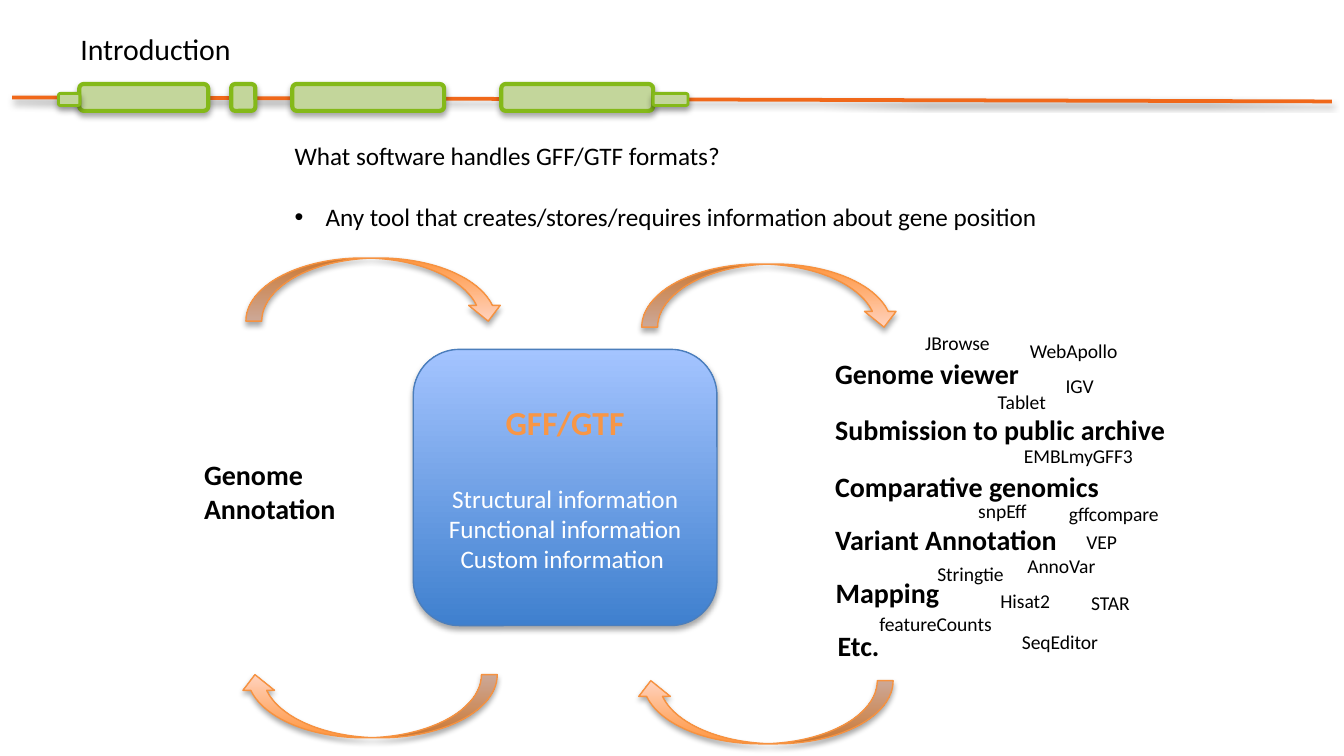
from lxml.etree import SubElement
from pptx import Presentation
from pptx.dml.color import RGBColor
from pptx.enum.shapes import MSO_CONNECTOR, MSO_SHAPE
from pptx.enum.text import MSO_ANCHOR, PP_ALIGN
from pptx.oxml.ns import qn
from pptx.util import Pt

PX = 4572
SIZE = (2000, 1125)
COLORS = {
    "text": "000000", "white": "FFFFFF", "heading": "F79646",
    "strand": "F0681A", "exon": "C3D69B", "exon_line": "84B919",
    "arrow_dark": "FF953E", "arrow_light": "FFD2BD", "arrow_line": "F69240",
    "box_dark": "3F80CE", "box_light": "A4C4FF", "box_line": "4B7EBC",
}
STRAND = (18, 145, 1982, 151)
EXONS = [(118, 192), (344, 36), (435, 226), (746, 226)]
UTRS = [(972, 52), (87, 32)]

TITLE = ("Introduction", 100, 36, 272, 72)
QUESTION = "What software handles GFF/GTF formats?"
ANSWER = "Any tool that creates/stores/requires information about gene position"
QUESTION_BOX = (419, 199, 1206, 156)

USES = [
    ("Genome Annotation", 284, 671, 246, 122),
    ("Genome viewer", 1223, 521, 362, 70),
    ("Submission to public archive", 1223, 604, 602, 70),
    ("Comparative genomics", 1223, 689, 474, 70),
    ("Variant Annotation", 1223, 768, 374, 70),
    ("Mapping", 1224, 847, 208, 70),
    ("Etc.", 1227, 926, 208, 70),
]
TOOLS = [
    ("JBrowse", 1357, 483, 144), ("WebApollo", 1513, 494, 242),
    ("IGV", 1566, 547, 112), ("Tablet", 1465, 570, 138),
    ("EMBLmyGFF3", 1504, 651, 242),
    ("snpEff", 1436, 732, 130), ("gffcompare", 1571, 737, 192),
    ("VEP", 1597, 778, 156), ("AnnoVar", 1509, 815, 156),
    ("Stringtie", 1375, 827, 156), ("Hisat2", 1469, 867, 156),
    ("STAR", 1604, 870, 156), ("featureCounts", 1289, 901, 248),
    ("SeqEditor", 1501, 927, 248),
]
TOOL_HEIGHT = 56

ARROW_SIZE = (384, 94)
ARROWS = [
    (356, 1004, "flipH"), (945, 1013, "flipH"),
    (366, 384, "flipV"), (955, 393, "flipV"),
]
FORMAT_BOX = (615, 520, 452, 411)
FORMAT_NAME = "GFF/GTF"
CONTENTS = ["Structural information", "Functional information", "Custom information "]

prs = Presentation()
prs.slide_width, prs.slide_height = (v * PX for v in SIZE)
s = prs.slides.add_slide(prs.slide_layouts[6])


def rgb(name):
    return RGBColor.from_string(COLORS[name])


def emu(*lengths):
    return [v * PX for v in lengths]


def add_shadow(sp, dist=23000, alpha=35000):
    effects = SubElement(sp._element.spPr, qn("a:effectLst"))
    shadow = SubElement(effects, qn("a:outerShdw"), blurRad="40000", dist=str(dist),
                        dir="5400000", rotWithShape="0")
    color = SubElement(shadow, qn("a:srgbClr"), val=COLORS["text"])
    SubElement(color, qn("a:alpha"), val=str(alpha))


def add_run(p, text, size, color="text", bold=False):
    r = p.add_run()
    r.text = text
    for name, value in {"name": "Calibri", "size": Pt(size), "bold": bold}.items():
        setattr(r.font, name, value)
    r.font.color.rgb = rgb(color)


def add_text(text, box, size, bold=False):
    tf = s.shapes.add_textbox(*emu(*box)).text_frame
    tf.word_wrap = True
    add_run(tf.paragraphs[0], text, size, bold=bold)
    return tf


def add_block(kind, box, fill, line, width):
    sp = s.shapes.add_shape(kind, *emu(*box))
    if isinstance(fill, tuple):
        sp.fill.gradient()
        sp.fill.gradient_angle = 90
        for stop, color, position in zip(sp.fill.gradient_stops, fill, (0, 1)):
            stop.color.rgb = rgb(color)
            stop.position = position
    else:
        sp.fill.solid()
        sp.fill.fore_color.rgb = rgb(fill)
    sp.line.color.rgb = rgb(line)
    sp.line.width = Pt(width)
    add_shadow(sp)
    return sp


strand = s.shapes.add_connector(MSO_CONNECTOR.STRAIGHT, *emu(*STRAND))
strand.line.color.rgb = rgb("strand")
strand.line.width = Pt(2)
add_shadow(strand, 20000, 38000)

for parts, top, height, width in ((EXONS, 125, 40, 2.25), (UTRS, 139, 18, 1.5)):
    for left, length in parts:
        add_block(MSO_SHAPE.ROUNDED_RECTANGLE, (left, top, length, height),
                  "exon", "exon_line", width)

add_text(TITLE[0], TITLE[1:], 16)
tf = add_text(QUESTION, QUESTION_BOX, 13.5)
p = tf.add_paragraph()
p.space_before = Pt(16.5)
pPr = p._p.get_or_add_pPr()
pPr.set("marL", str(46 * PX))
pPr.set("indent", str(-46 * PX))
SubElement(pPr, qn("a:buFont"), typeface="Arial")
SubElement(pPr, qn("a:buChar"), char="•")
add_run(p, ANSWER, 13.5)

for text, *box in USES:
    add_text(text, box, 15, bold=True)
for text, *box in TOOLS:
    add_text(text, (*box, TOOL_HEIGHT), 10.5)

for left, top, flip in ARROWS:
    arrow = add_block(MSO_SHAPE.CURVED_UP_ARROW, (left, top, *ARROW_SIZE),
                      ("arrow_dark", "arrow_light"), "arrow_line", 0.75)
    arrow._element.spPr.find(qn("a:xfrm")).set(flip, "1")

format_box = add_block(MSO_SHAPE.ROUNDED_RECTANGLE, FORMAT_BOX,
                       ("box_dark", "box_light"), "box_line", 0.75)
tf = format_box.text_frame
tf.word_wrap = True
tf.vertical_anchor = MSO_ANCHOR.MIDDLE
add_run(tf.paragraphs[0], FORMAT_NAME, 18, "heading", True)
for text in CONTENTS:
    add_run(tf.add_paragraph(), text, 13.5, "white")
tf.paragraphs[1].space_before = Pt(22)
for p in tf.paragraphs:
    p.alignment = PP_ALIGN.CENTER

prs.save("out.pptx")
